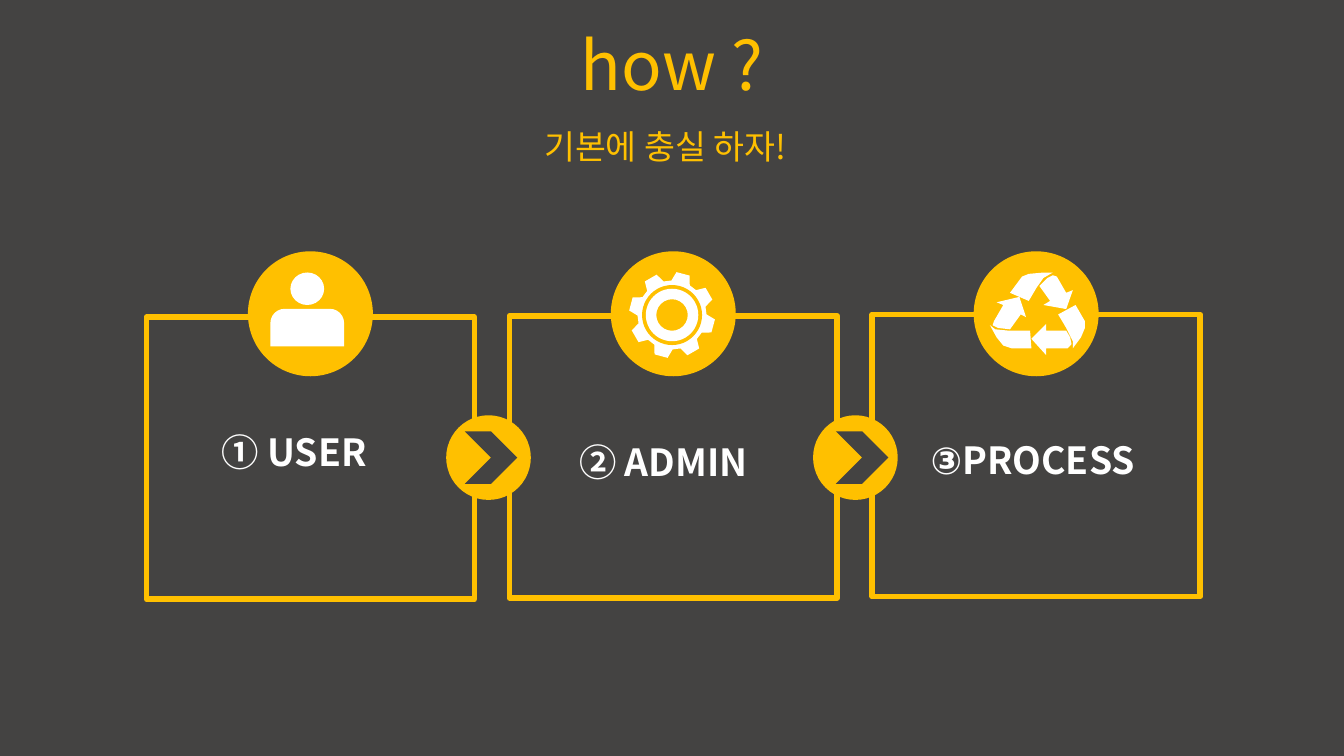
from math import cos, radians, sin

from lxml import etree
from pptx import Presentation
from pptx.dml.color import RGBColor
from pptx.enum.shapes import MSO_SHAPE
from pptx.enum.text import MSO_ANCHOR, PP_ALIGN
from pptx.oxml.ns import qn
from pptx.util import Inches, Pt

RECT, OVAL, CHEVRON = MSO_SHAPE.RECTANGLE, MSO_SHAPE.OVAL, MSO_SHAPE.CHEVRON
DONUT, ROUND_TOP = MSO_SHAPE.DONUT, MSO_SHAPE.ROUND_2_SAME_RECTANGLE
CENTER, MIDDLE = PP_ALIGN.CENTER, MSO_ANCHOR.MIDDLE
GOLD, DARK, WHITE = "FFC000", "444342", "FFFFFF"
SANS, ARIAL = "Noto Sans CJK KR", "Arial"
W = 10
H = W * 9 / 16
PANEL_W, PANEL_H, BADGE, PITCH = 2.44, 2.1, 0.93, 2.7
LEFT, TOP = 1.09, 1.87
RECYCLE = [
    [(0, 39), (4, 42), (14, 43), (30, 43), (31, 56), (16, 56), (10, 54), (5, 48)],
    [(42, 38), (42, 43), (57, 43), (60, 48), (61, 53), (58, 56), (42, 56), (42, 61), (31, 49)],
    [(64, 24), (71, 36), (71, 41), (68, 48), (62, 56), (62, 51), (57, 41), (51, 31)],
    [(22, 18), (27, 33), (23, 31), (15, 42), (6, 41), (2, 39), (3, 36), (10, 24), (5, 22)],
    [(47, 2), (50, 3), (57, 15), (62, 13), (57, 27), (40, 24), (45, 21), (37, 10), (43, 4)],
    [(40, 0), (47, 0), (40, 4), (35, 11), (29, 21), (15, 15), (24, 3), (29, 1)],
]


def rgb(value):
    """Turn a hex string into a colour."""
    return RGBColor.from_string(value)


def sub(box, x, y, w, h):
    """Return the part of a box given as shares of its size."""
    left, top, width, height = box
    return left + x * width, top + y * height, w * width, h * height


def centred(box, x, y, d):
    """Return a square part of side share d around a point of a box."""
    return sub(box, x - d / 2, y - d / 2, d, d)


def paint(sp, fill=None, line=None):
    """Set fill and outline of a shape and drop its shadow."""
    sp.shadow.inherit = False
    if fill:
        sp.fill.solid()
        sp.fill.fore_color.rgb = rgb(fill)
    else:
        sp.fill.background()
    if line:
        sp.line.color.rgb = rgb(line)
        sp.line.width = Pt(3)
    else:
        sp.line.fill.background()
    return sp


def add(s, kind, box, fill=None, line=None):
    """Add a preset shape in a box."""
    return paint(s.shapes.add_shape(kind, *map(Inches, box)), fill, line)


def outline(s, box, span, contours, fill):
    """Draw closed contours, given on a grid of span units, in a box."""
    left, top, width, height = map(Inches, box)
    scale = width / span[0], height / span[1]
    fb = s.shapes.build_freeform(*contours[0][0], scale=scale)
    for i, points in enumerate(contours):
        if i:
            fb.move_to(*points[0])
        fb.add_line_segments(points[1:], close=True)
    return paint(fb.convert_to_shape(left, top), fill)


def write(sp, runs, box, size, color, bold=False):
    """Fill a text shape with one centred line of (text, font) runs."""
    sp.left, sp.top, sp.width, sp.height = map(Inches, box)
    tf = sp.text_frame
    tf.word_wrap = True
    tf.vertical_anchor = MIDDLE
    p = tf.paragraphs[0]
    p.alignment = CENTER
    for text, font in runs:
        r = p.add_run()
        r.text = text
        r.font.size, r.font.bold = Pt(size), bold
        r.font.color.rgb = rgb(color)
        r.font.name = font
        etree.SubElement(r._r.get_or_add_rPr(), qn("a:ea"), typeface=font)


def add_text(s, runs, box, **fmt):
    """Add a text box with one line of runs."""
    write(s.shapes.add_textbox(0, 0, 0, 0), runs, box, **fmt)


def heading(s, box):
    """Place the title and the line below it in a band."""
    write(s.shapes.title, [("how ?", SANS)], sub(box, 0, 0.15, 1, 0.59), size=36, color=GOLD)
    add_text(s, [("기본에 충실 하자!", SANS)], sub(box, 0, 0.87, 0.99, 0.29), size=18, color=GOLD)


def user_icon(s, box):
    """Draw a head and shoulders."""
    body = add(s, ROUND_TOP, sub(box, 0.18, 0.46, 0.59, 0.3), WHITE)
    body.adjustments[0] = 0.38
    add(s, OVAL, sub(box, 0.34, 0.17, 0.27, 0.26), WHITE)


def gear_icon(s, box):
    """Draw a gear with eight teeth and a ring inside."""
    corners = [(-16, 400), (-9, 500), (9, 500), (16, 400)]
    points = [
        (round(500 + r * sin(radians(a))), round(500 - r * cos(radians(a))))
        for tooth in range(8)
        for a, r in ((15 + 45 * tooth + da, radius) for da, radius in corners)
    ]
    outline(s, centred(box, 0.49, 0.51, 0.69), (1000, 1000), [points], WHITE)
    add(s, OVAL, centred(box, 0.49, 0.51, 0.48), GOLD)
    ring = add(s, DONUT, centred(box, 0.49, 0.51, 0.42), WHITE)
    ring.adjustments[0] = 0.2


def recycle_icon(s, box):
    """Draw three arrows chasing each other."""
    outline(s, sub(box, 0.13, 0.17, 0.76, 0.66), (71, 61), RECYCLE, WHITE)


def panel(s, box, icon, label, label_x, label_y):
    """Draw a framed step with its badge, icon and label."""
    add(s, RECT, box, line=GOLD)
    badge = (box[0] + (box[2] - BADGE) / 2, TOP, BADGE, BADGE)
    add(s, OVAL, badge, GOLD)
    icon(s, badge)
    add_text(s, label, sub(box, label_x, label_y, 0.82, 0.21), size=20, color=WHITE, bold=True)


def arrow(s, box, chevron_x):
    """Draw a round arrow badge between two panels."""
    add(s, OVAL, box, GOLD)
    add(s, CHEVRON, sub(box, chevron_x, 0.19, 0.62, 0.62), DARK)


def main():
    """Build the slide and save it."""
    prs = Presentation()
    prs.slide_width, prs.slide_height = Inches(W), Inches(H)
    s = prs.slides.add_slide(prs.slide_layouts[5])
    s.background.fill.solid()
    s.background.fill.fore_color.rgb = rgb(DARK)
    heading(s, (0, 0, W, 0.19 * H))
    steps = [
        (user_icon, [("① USER", SANS)], 0.04, 0.37),
        (gear_icon, [("② ADMIN", SANS)], 0.06, 0.41),
        (recycle_icon, [("③", ARIAL), ("PROCESS", SANS)], 0.08, 0.41),
    ]
    for i, step in enumerate(steps):
        panel(s, (LEFT + i * PITCH, 2.36 - 0.01 * i, PANEL_W, PANEL_H), *step)
    for left, chevron_x in [(3.32, 0.22), (6.05, 0.27)]:
        arrow(s, (left, 3.09, 0.63, 0.63), chevron_x)
    prs.save("out.pptx")


if __name__ == "__main__":
    main()
